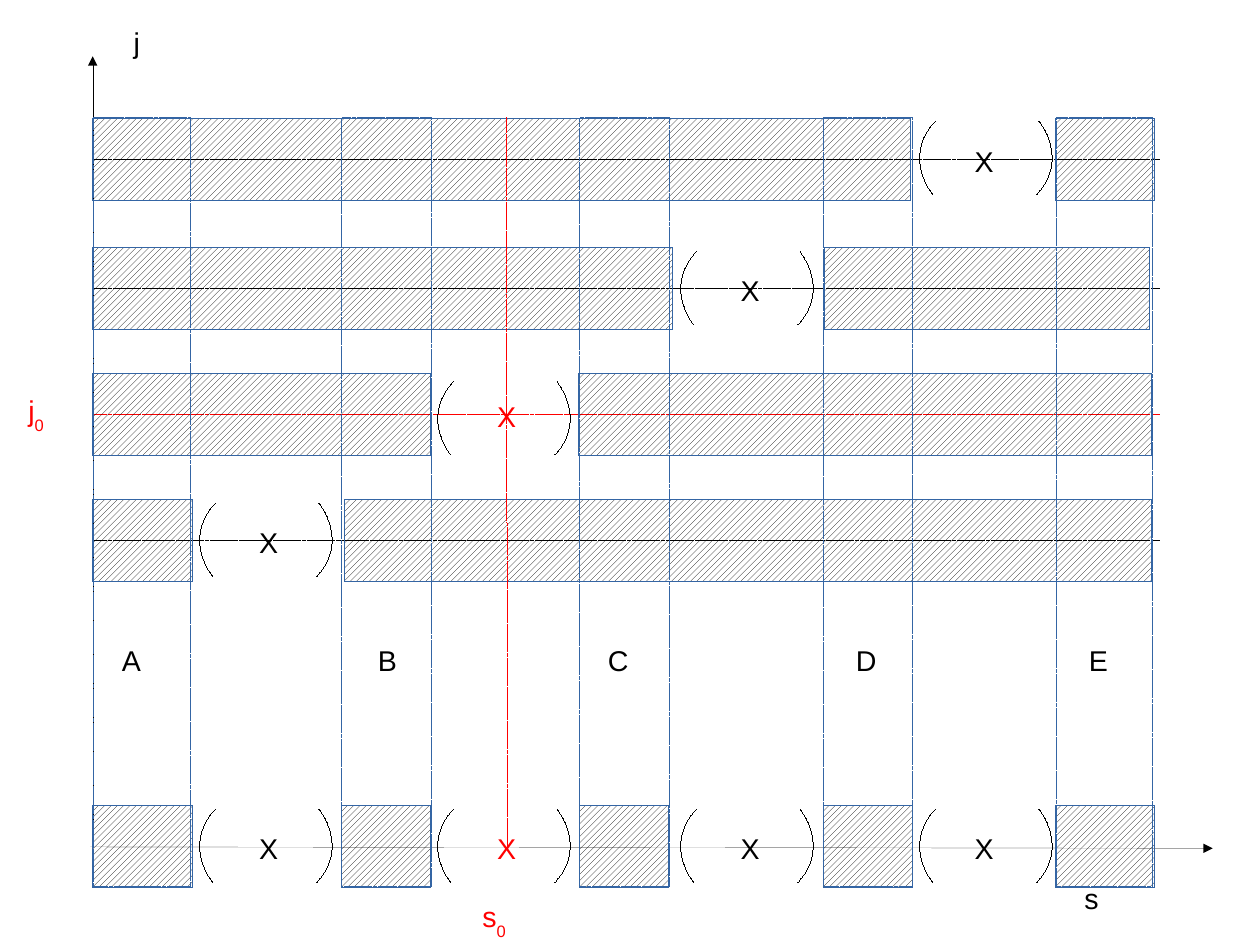
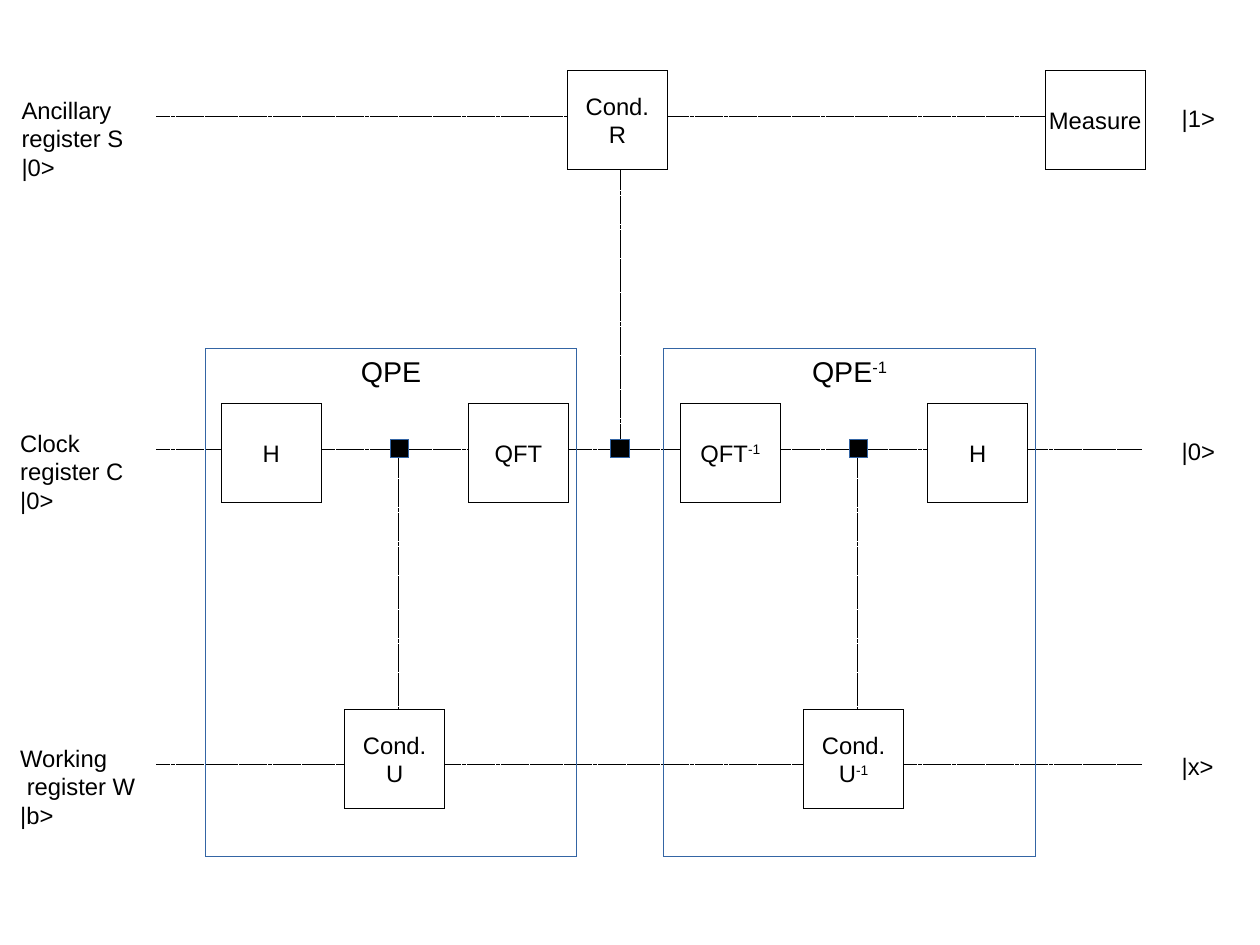
from dataclasses import dataclass

from lxml.etree import SubElement
from pptx import Presentation
from pptx.dml.color import RGBColor
from pptx.dml.line import LineFormat
from pptx.enum.dml import MSO_LINE, MSO_PATTERN
from pptx.enum.shapes import MSO_CONNECTOR, MSO_SHAPE
from pptx.enum.text import MSO_ANCHOR, MSO_AUTO_SIZE, PP_ALIGN
from pptx.oxml.ns import qn
from pptx.shapes.autoshape import Shape
from pptx.slide import Slide
from pptx.text.text import TextFrame
from pptx.util import Cm, Pt


# Theme
@dataclass(frozen=True)
class Theme:
    ink: RGBColor = RGBColor(0x00, 0x00, 0x00)
    paper: RGBColor = RGBColor(0xFF, 0xFF, 0xFF)
    accent: RGBColor = RGBColor(0xFF, 0x00, 0x00)
    frame: RGBColor = RGBColor(0x34, 0x65, 0xA4)
    font: str = "Arial"
    large: int = 18
    medium: int = 15


THEME = Theme()


# Repeated elements, all lengths in centimetres
@dataclass(frozen=True)
class Span:
    """A piece of text with its baseline shift in percent."""
    text: str
    shift: int = 0


Lines = tuple[tuple[Span, ...], ...]
Point = tuple[float, float]


@dataclass(frozen=True)
class Box:
    left: float
    top: float
    width: float
    height: float


@dataclass(frozen=True)
class Zone:
    letter: str
    left: float
    width: float
    letter_left: float
    bar_left: float
    bar_width: float


@dataclass(frozen=True)
class Gap:
    left: float
    mark_left: float
    bar_end: float
    bar_start: float
    color: RGBColor = THEME.ink


@dataclass(frozen=True)
class Row:
    top: float
    bracket_top: float
    right: float
    color: RGBColor = THEME.ink


@dataclass(frozen=True)
class Register:
    y: float
    label: Lines
    label_left: float
    result: str


@dataclass(frozen=True)
class Gate:
    left: float
    top: float
    text: Lines


@dataclass(frozen=True)
class Control:
    dot_left: float
    line_x: float
    line_top: float
    line_bottom: float


def plain(*texts: str) -> Lines:
    return tuple((Span(text),) for text in texts)


# Drawing functions
def write(frame: TextFrame, lines: Lines, size: int, color: RGBColor,
          align: PP_ALIGN = PP_ALIGN.LEFT) -> None:
    for index, spans in enumerate(lines):
        paragraph = frame.add_paragraph() if index else frame.paragraphs[0]
        paragraph.alignment = align
        for span in spans:
            run = paragraph.add_run()
            run.text = span.text
            run.font.name = THEME.font
            run.font.size = Pt(size)
            run.font.color.rgb = color
            if span.shift:
                run.font._element.set("baseline", str(span.shift * 1000))


def set_hairline(line: LineFormat, color: RGBColor) -> None:
    line.color.rgb = color
    # The width property drops a zero, so the attribute is set directly
    line._get_or_add_ln().set("w", "0")


def add_label(slide: Slide, box: Box, lines: Lines, size: int = THEME.large,
              color: RGBColor = THEME.ink) -> None:
    shape = slide.shapes.add_textbox(Cm(box.left), Cm(box.top), Cm(box.width), Cm(box.height))
    shape.text_frame.word_wrap = True
    shape.text_frame.auto_size = MSO_AUTO_SIZE.SHAPE_TO_FIT_TEXT
    write(shape.text_frame, lines, size, color)


def add_line(slide: Slide, start: Point, end: Point, color: RGBColor = THEME.ink,
             arrow: bool = False) -> None:
    connector = slide.shapes.add_connector(
        MSO_CONNECTOR.STRAIGHT, Cm(start[0]), Cm(start[1]), Cm(end[0]), Cm(end[1]))
    set_hairline(connector.line, color)
    if arrow:
        SubElement(connector.line._get_or_add_ln(), qn("a:tailEnd"), type="triangle")
    else:
        connector.line.dash_style = MSO_LINE.SQUARE_DOT
    SubElement(connector._element.spPr, qn("a:effectLst"))


def add_box(slide: Slide, box: Box, line: RGBColor = THEME.frame,
            fill: RGBColor | None = None) -> Shape:
    shape = slide.shapes.add_shape(
        MSO_SHAPE.RECTANGLE, Cm(box.left), Cm(box.top), Cm(box.width), Cm(box.height))
    shape.shadow.inherit = False
    set_hairline(shape.line, line)
    if fill is None:
        shape.fill.background()
    else:
        shape.fill.solid()
        shape.fill.fore_color.rgb = fill
    return shape


def add_boxed_text(slide: Slide, box: Box, lines: Lines, size: int, anchor: MSO_ANCHOR,
                   line: RGBColor, fill: RGBColor | None = None) -> None:
    frame = add_box(slide, box, line, fill).text_frame
    frame.word_wrap = False
    frame.vertical_anchor = anchor
    write(frame, lines, size, THEME.ink, PP_ALIGN.CENTER)


def add_hatched_bar(slide: Slide, box: Box) -> None:
    shape = add_box(slide, box)
    shape.fill.patterned()
    shape.fill.pattern = MSO_PATTERN.WIDE_UPWARD_DIAGONAL
    shape.fill.fore_color.rgb = THEME.ink
    shape.fill.back_color.rgb = THEME.paper
    # A clear background lets the axes show between the strokes
    background = shape._element.spPr.find(".//" + qn("a:bgClr"))
    SubElement(background[0], qn("a:alpha"), val="0")


def add_bracket(slide: Slide, left: float, top: float, opening: bool) -> None:
    """Draw a round bracket as one cubic curve; closing is opening turned by 180°."""
    width, height = 0.33, 1.63

    def turn(x: float, y: float) -> Point:
        return (x, y) if opening else (width - x, height - y)

    # The corner points fix the bounds, then the curve replaces the segments
    outline = [turn(*point) for point in ((width, 0), (0, 0.81), (0.28, height))]
    points = [(Cm(left + x), Cm(top + y)) for x, y in outline]
    builder = slide.shapes.build_freeform(*points[0])
    builder.add_line_segments(points[1:], close=False)
    shape = builder.convert_to_shape()
    curve_path = shape._element.spPr.find(".//" + qn("a:path"))
    for segment in curve_path.findall(qn("a:lnTo")):
        curve_path.remove(segment)
    curve = SubElement(curve_path, qn("a:cubicBezTo"))
    for control in ((-0.41, 0.81), (0.28, height), (0.28, height)):
        x, y = turn(*control)
        SubElement(curve, qn("a:pt"), x=str(Cm(x)), y=str(Cm(y)))
    shape.shadow.inherit = False
    shape.fill.background()
    set_hairline(shape.line, THEME.ink)


def add_marked_gap(slide: Slide, gap: Gap, bracket_top: float, bar_top: float) -> None:
    add_bracket(slide, gap.left, bracket_top, opening=True)
    add_bracket(slide, gap.left + 2.59, bracket_top, opening=False)
    add_label(slide, Box(gap.mark_left, bar_top + 0.45, 1.45, 1.09), plain("X"), color=gap.color)


# Slide 1: allowed zones for every j, projected on the s axis
BAR_HEIGHT = 1.83
BAR_LEFT = 2.06
ZONES = (
    Zone("A", 2.08, 2.15, 2.46, 2.06, 2.21),
    Zone("B", 7.59, 2, 8.15, 7.59, 1.98),
    Zone("C", 12.88, 2.01, 13.26, 12.88, 1.98),
    Zone("D", 18.29, 2, 18.77, 18.29, 1.98),
    Zone("E", 23.48, 2.13, 23.95, 23.45, 2.21),
)
GAPS = (
    Gap(4.45, 5.51, 4.27, 7.65),
    Gap(9.74, 10.8, 9.56, 12.85, THEME.accent),
    Gap(15.14, 16.21, 14.95, 18.32),
    Gap(20.45, 21.41, 20.24, 23.45),
)
ROWS = (
    Row(11.1, 11.18, 25.6),
    Row(8.3, 8.48, 25.58, THEME.accent),
    Row(5.5, 5.59, 25.55),
    Row(2.63, 2.69, 25.65),
)
PROJECTION = Row(17.9, 17.98, 25.65)


def build_zones(slide: Slide) -> None:
    # Axes
    add_line(slide, (2.06, 18.85), (2.06, 1.25), arrow=True)
    add_line(slide, (2.01, 18.82), (26.95, 18.85), arrow=True)
    add_label(slide, Box(23.85, 19.46, 3.38, 0.97), plain("s"))
    add_label(slide, Box(2.72, 0.43, 3.1, 0.97), plain("j"))

    # One row for each j, with one gap
    for row, gap in zip(ROWS, GAPS):
        axis_y = row.top + 0.92
        add_line(slide, (2.08, axis_y), (25.76, axis_y), row.color)
        add_marked_gap(slide, gap, row.bracket_top, row.top)
        for left, right in ((BAR_LEFT, gap.bar_end), (gap.bar_start, row.right)):
            add_hatched_bar(slide, Box(left, row.top, right - left, BAR_HEIGHT))

    # Projection and zones
    for gap in GAPS:
        add_marked_gap(slide, gap, PROJECTION.bracket_top, PROJECTION.top)
    for zone in ZONES:
        add_hatched_bar(slide, Box(zone.bar_left, PROJECTION.top, zone.bar_width, BAR_HEIGHT))
        outline = add_box(slide, Box(zone.left, 2.62, zone.width, 17.09))
        outline.line.dash_style = MSO_LINE.SQUARE_DOT
        add_label(slide, Box(zone.letter_left, 14.16, 1.37, 0.97), plain(zone.letter))

    # Chosen point
    for letter, left, top in (("s", 10.47, 19.86), ("j", 0.38, 8.61)):
        add_label(slide, Box(left, top, 1.9, 1.12), ((Span(letter), Span("0", -33)),),
                  color=THEME.accent)
    add_line(slide, (11.28, 18.8), (11.25, 2.62), THEME.accent)


# Slide 2: circuit with three registers
INVERSE = Span("-1", 33)
REGISTERS = (
    Register(2.59, plain("Ancillary", "register S", "|0>"), 0.23, "|1>"),
    Register(9.99, plain("Clock", "register C", "|0>"), 0.2, "|0>"),
    Register(16.99, plain("Working", " register W", "|b>"), 0.2, "|x>"),
)
STAGES = ((4.56, (Span("QPE"),)), (14.75, (Span("QPE"), INVERSE)))
CONTROLS = (
    Control(8.67, 8.86, 10, 15.77),
    Control(13.57, 13.79, 3.71, 9.96),
    Control(18.88, 19.05, 10, 15.77),
)
GATES = (
    Gate(12.61, 1.57, plain("Cond.", "R")),
    Gate(23.23, 1.57, plain("Measure")),
    Gate(4.92, 8.97, plain("H")),
    Gate(10.41, 8.97, plain("QFT")),
    Gate(15.12, 8.97, ((Span("QFT"), INVERSE),)),
    Gate(20.62, 8.97, plain("H")),
    Gate(7.66, 15.77, plain("Cond.", "U")),
    Gate(17.86, 15.77, ((Span("Cond."),), (Span("U"), INVERSE))),
)


def build_circuit(slide: Slide) -> None:
    # Registers with input and result
    for register in REGISTERS:
        add_line(slide, (3.48, register.y), (25.37, register.y))
        add_label(slide, Box(register.label_left, register.y - 0.59, 6.12, 2.01),
                  register.label, THEME.medium)
        add_label(slide, Box(26.01, register.y - 0.42, 1.6, 0.84),
                  plain(register.result), THEME.medium)

    # Stages, controls and gates
    for left, title in STAGES:
        add_boxed_text(slide, Box(left, 7.75, 8.26, 11.28), (title,), THEME.large,
                       MSO_ANCHOR.TOP, THEME.frame)
    for control in CONTROLS:
        add_line(slide, (control.line_x, control.line_top), (control.line_x, control.line_bottom))
        add_box(slide, Box(control.dot_left, 9.76, 0.41, 0.41), fill=THEME.ink)
    for gate in GATES:
        add_boxed_text(slide, Box(gate.left, gate.top, 2.22, 2.2), gate.text, THEME.medium,
                       MSO_ANCHOR.MIDDLE, THEME.ink, THEME.paper)


def main() -> None:
    presentation = Presentation()
    presentation.slide_width, presentation.slide_height = Cm(28), Cm(21)
    blank = presentation.slide_layouts[6]
    for build in (build_zones, build_circuit):
        build(presentation.slides.add_slide(blank))
    presentation.save("out.pptx")


if __name__ == "__main__":
    main()
